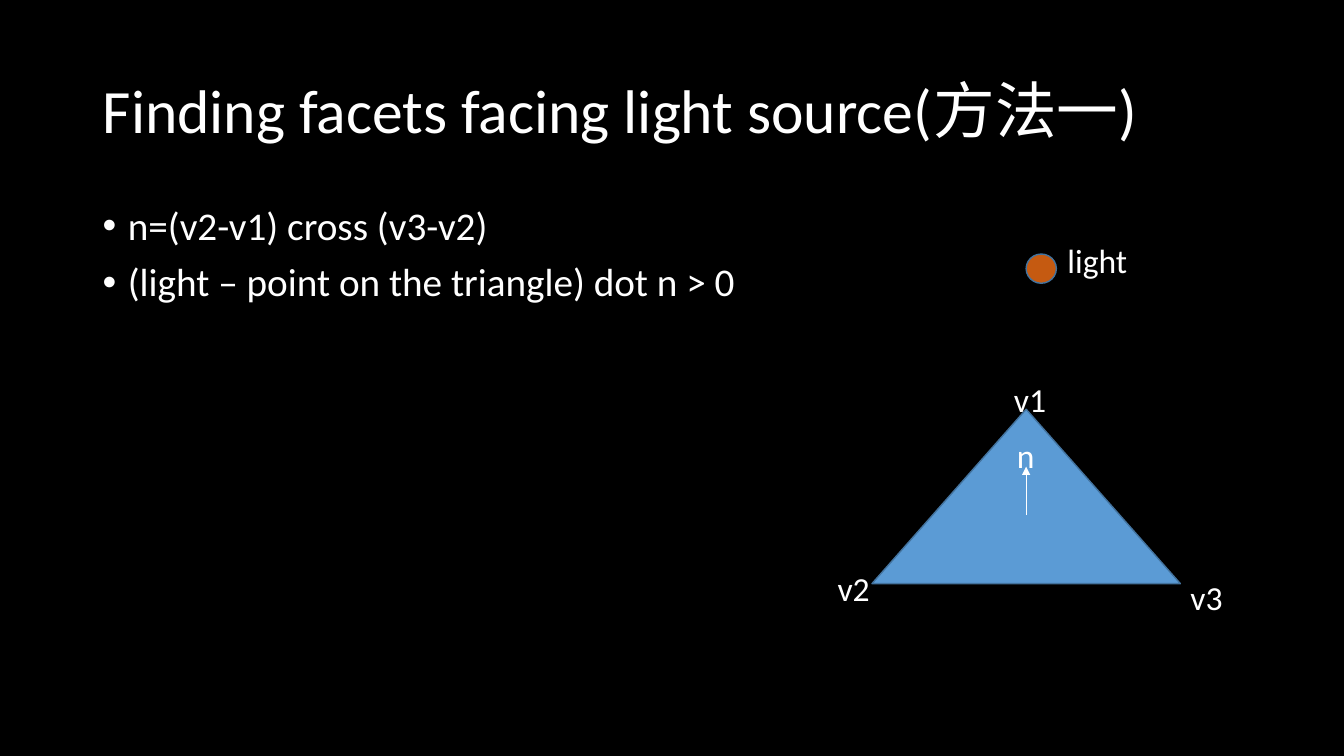
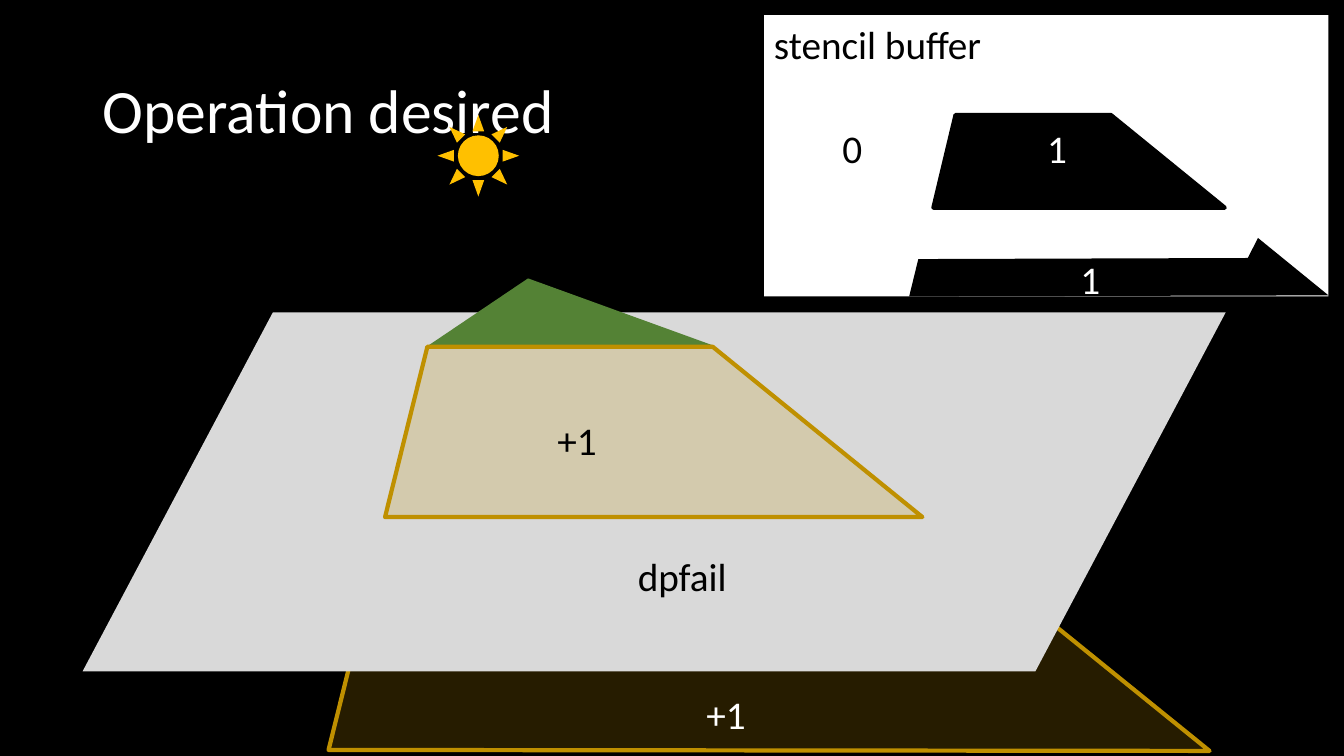
from lxml.etree import SubElement
from pptx import Presentation
from pptx.dml.color import RGBColor
from pptx.enum.shapes import MSO_CONNECTOR, MSO_SHAPE
from pptx.enum.text import MSO_ANCHOR, MSO_AUTO_SIZE, PP_ALIGN
from pptx.oxml.ns import qn
from pptx.util import Inches, Pt

COLORS = {
    "black": "000000", "white": "FFFFFF", "blue": "5B9BD5", "edge": "43739E",
    "orange": "C55A11", "gold": "BF9000", "sun": "FFC000",
    "green": "548235", "plane": "D9D9D9",
}
WIDTH, HEIGHT = Inches(13.33), Inches(7.5)
FONT = "Calibri"
TITLE_LAYOUT = 5
TITLE_BOX = (6.9, 5.33, 86.25, 19.33)
PARA_FORMAT = {"alignment": PP_ALIGN.LEFT, "line_spacing": 0.9}
LABEL_FRAME = {"word_wrap": False, "auto_size": MSO_AUTO_SIZE.SHAPE_TO_FIT_TEXT}


def color(name):
    return RGBColor.from_string(COLORS[name])


def across(share):
    """Length for a percentage of the slide's width."""
    return round(WIDTH * share / 100)


def down(share):
    """Length for a percentage of the slide's height."""
    return round(HEIGHT * share / 100)


def place(box):
    left, top, width, height = box
    return across(left), down(top), across(width), down(height)


def set_all(target, values):
    for name, value in values.items():
        setattr(target, name, value)


def write(para, text, size, ink):
    span = para.add_run()
    span.text = text
    set_all(span.font, {"name": FONT, "size": Pt(size)})
    span.font.color.rgb = color(ink)


def paint(shape, fill, line=None, weight=1, opacity=100):
    shape.shadow.inherit = False
    shape.fill.solid()
    shape.fill.fore_color.rgb = color(fill)
    if opacity < 100:
        tint = shape.fill._xPr.find(f"{qn('a:solidFill')}/{qn('a:srgbClr')}")
        SubElement(tint, qn("a:alpha"), val=str(opacity * 1000))
    if line:
        shape.line.color.rgb = color(line)
        shape.line.width = Pt(weight)
    else:
        shape.line.fill.background()


def add_page(deck, title):
    page = deck.slides.add_slide(deck.slide_layouts[TITLE_LAYOUT])
    box = page.shapes.title
    set_all(box, dict(zip(("left", "top", "width", "height"), place(TITLE_BOX))))
    box.text_frame.vertical_anchor = MSO_ANCHOR.MIDDLE
    para = box.text_frame.paragraphs[0]
    set_all(para, PARA_FORMAT)
    write(para, title, 44, "white")
    return page


def add_bullets(page, box, lines):
    frame = page.shapes.add_textbox(*place(box)).text_frame
    frame.word_wrap = True
    for index, line in enumerate(lines):
        para = frame.add_paragraph() if index else frame.paragraphs[0]
        set_all(para, {**PARA_FORMAT, "space_before": Pt(10)})
        props = para._p.get_or_add_pPr()
        props.set("marL", str(Inches(0.25)))
        props.set("indent", str(-Inches(0.25)))
        SubElement(props, qn("a:buFont"), typeface="Arial")
        SubElement(props, qn("a:buChar"), char="•")
        write(para, line, 28, "white")


def add_label(page, text, left, top, width, size=28, ink="white"):
    height = size * 0.27
    frame = page.shapes.add_textbox(*place((left, top, width, height))).text_frame
    set_all(frame, LABEL_FRAME)
    write(frame.paragraphs[0], text, size, ink)


def add_figure(page, kind, box, fill, line=None, adjust=None):
    shape = page.shapes.add_shape(kind, *place(box))
    if adjust is not None:
        shape.adjustments[0] = adjust
    paint(shape, fill, line)


def add_outline(page, points, fill, **look):
    corners = [(across(x), down(y)) for x, y in points]
    builder = page.shapes.build_freeform(*corners[0])
    builder.add_line_segments(corners[1:], close=True)
    paint(builder.convert_to_shape(), fill, **look)


def add_arrow(page, start, end):
    arrow = page.shapes.add_connector(
        MSO_CONNECTOR.STRAIGHT, across(start[0]), down(start[1]),
        across(end[0]), down(end[1]))
    arrow.line.color.rgb = color("white")
    arrow.line.width = Pt(0.5)
    SubElement(arrow.line._get_or_add_ln(), qn("a:tailEnd"), type="triangle")
    SubElement(arrow._element.spPr, qn("a:effectLst"))


def build_facets(deck):
    page = add_page(deck, "Finding facets facing light source(方法一)")
    add_bullets(page, (6.9, 26.67, 54.1, 59.33), [
        "n=(v2-v1) cross (v3-v2)",
        "(light – point on the triangle) dot n > 0",
    ])
    add_figure(page, MSO_SHAPE.ISOSCELES_TRIANGLE, (64.88, 54.13, 22.95, 23.07),
               "blue", "edge")
    add_figure(page, MSO_SHAPE.OVAL, (76.35, 33.6, 2.25, 3.87), "orange", "edge")
    add_arrow(page, (76.35, 68.13), (76.35, 61.73))
    for text, left, top, width in [
        ("v1", 74.7, 49.47, 3.9),
        ("v2", 61.58, 74.53, 3.9),
        ("v3", 87.83, 75.6, 3.9),
        ("light", 78.68, 31.07, 6),
        ("n", 74.93, 56.93, 2.85),
    ]:
        add_label(page, text, left, top, width, size=24)


def build_operation(deck):
    page = add_page(deck, "Operation desired")
    volume = {"fill": "gold", "line": "gold", "weight": 3, "opacity": 20}
    add_outline(page, [(28.8, 68.13), (24.45, 99.2), (90, 99.33), (68.33, 68.13)],
                **volume)
    add_figure(page, MSO_SHAPE.PARALLELOGRAM, (6.15, 41.33, 85.05, 47.47),
               "plane", adjust=0.53)
    add_figure(page, MSO_SHAPE.SUN, (32.55, 15.2, 6.08, 10.8), "sun")
    add_figure(page, MSO_SHAPE.ISOSCELES_TRIANGLE, (31.95, 36.93, 21, 8.8),
               "green", "green", adjust=0.35)
    add_outline(page, [(31.8, 45.87), (28.65, 68.4), (68.63, 68.4), (53.03, 45.87)],
                **volume)
    add_figure(page, MSO_SHAPE.RECTANGLE, (56.85, 2, 42, 37.2), "white")
    add_outline(page, [(71.1, 15.2), (69.45, 27.47), (91.13, 27.47), (82.65, 15.2)],
                "black", line="black", weight=3)
    add_outline(page, [(68.33, 34.27), (67.65, 39.2), (98.85, 39.07),
                       (93.6, 31.47), (92.85, 34.13)], "black")
    for text, left, top, width, ink in [
        ("stencil buffer", 56.85, 2, 17.18, "black"),
        ("0", 61.95, 15.73, 3, "black"),
        ("1", 77.18, 15.73, 3, "white"),
        ("1", 79.65, 33.07, 3, "white"),
        ("+1", 40.73, 54.4, 4.5, "black"),
        ("dpfail", 46.73, 72.4, 8.18, "black"),
        ("+1", 51.83, 90.67, 4.5, "white"),
    ]:
        add_label(page, text, left, top, width, ink=ink)


def main():
    deck = Presentation()
    set_all(deck, {"slide_width": WIDTH, "slide_height": HEIGHT})
    backdrop = deck.slide_master.background.fill
    backdrop.solid()
    backdrop.fore_color.rgb = color("black")
    build_facets(deck)
    build_operation(deck)
    deck.save("out.pptx")


if __name__ == "__main__":
    main()
